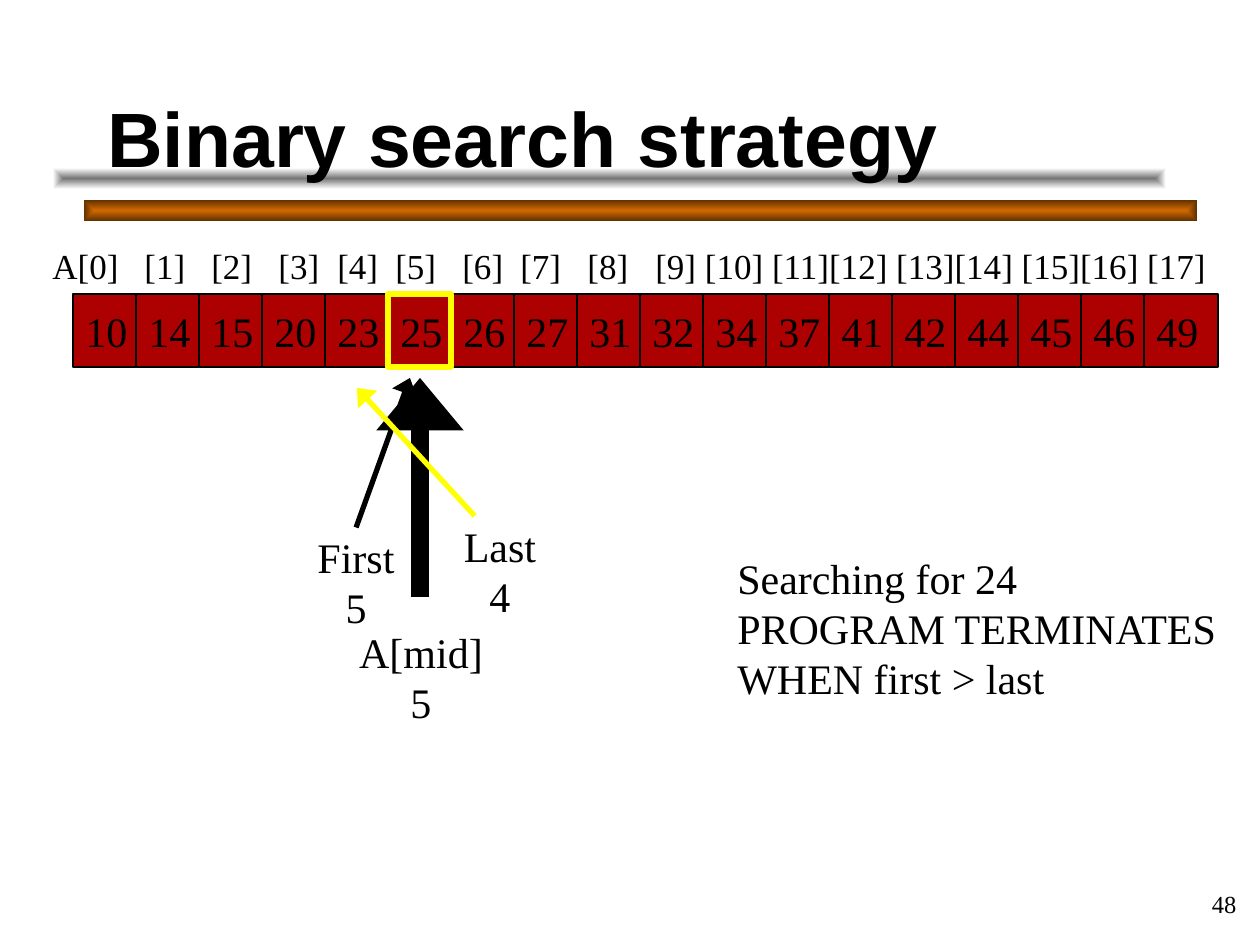
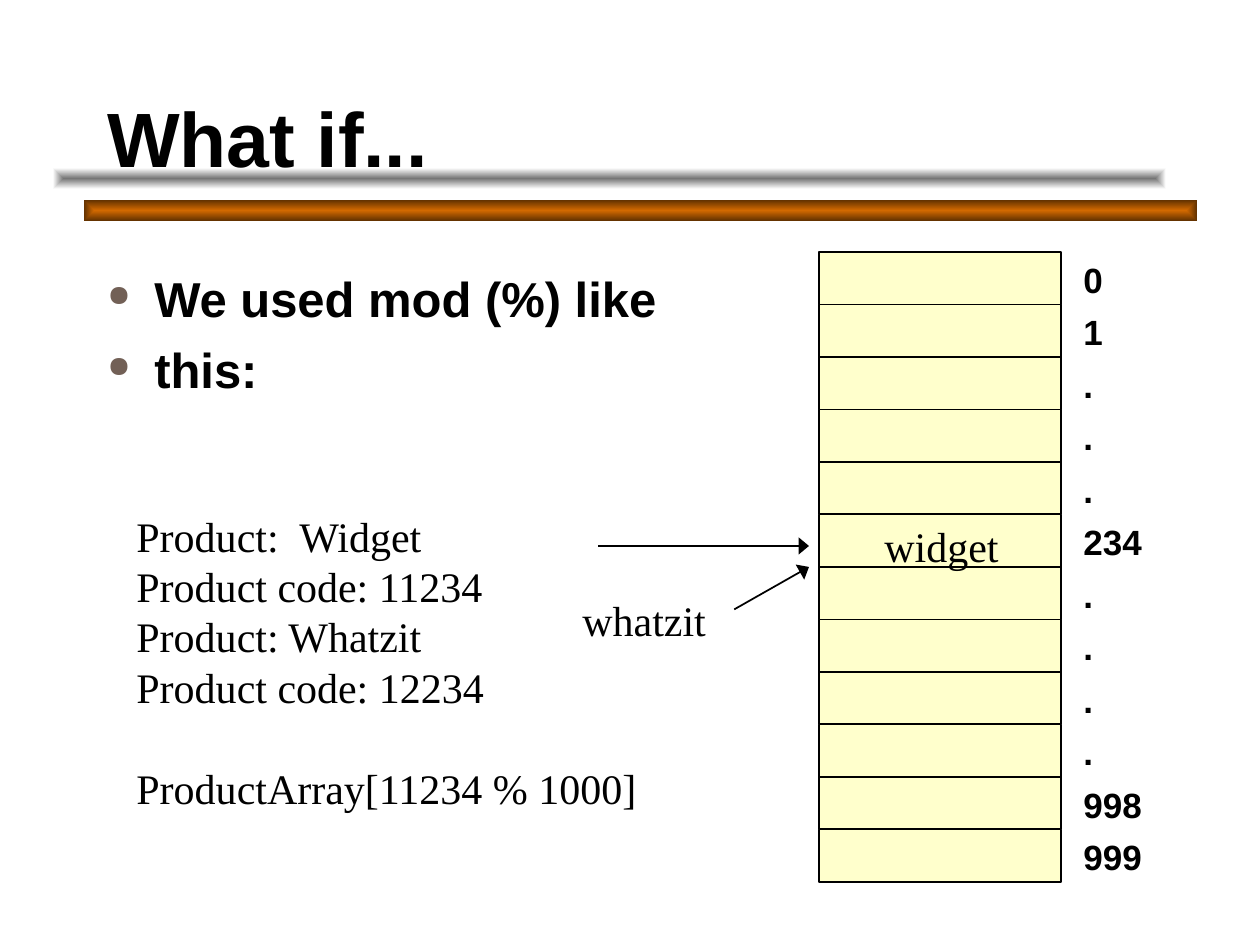
from dataclasses import dataclass

import pptx
import pptx.dml.color
import pptx.enum.shapes
import pptx.enum.text
import pptx.oxml
import pptx.oxml.ns
import pptx.util
from lxml import etree

EMU_PER_PIXEL = pptx.util.Inches(1) // 126
SERIF, SANS = "Times New Roman", "Arial"
BLACK, YELLOW, CELL_RED, CELL_CREAM = "000000", "FFFF00", "AD0101", "FFFFCC"
BULLET_BROWN = "726056"
ALIGN = pptx.enum.text.PP_ALIGN
ANCHOR = pptx.enum.text.MSO_ANCHOR


@dataclass(frozen=True)
class Box:
    left: float
    top: float
    width: float
    height: float

    def emu(self) -> list[int]:
        return [px(v) for v in (self.left, self.top, self.width, self.height)]


@dataclass(frozen=True)
class TextStyle:
    size: int = 24
    font: str = SERIF
    bold: bool = False
    align: ALIGN = ALIGN.LEFT
    anchor: ANCHOR = ANCHOR.TOP
    wrap: bool = False
    tabs: tuple[int, ...] = ()


@dataclass(frozen=True)
class Line:
    start: tuple[float, float]
    end: tuple[float, float]
    color: str = BLACK
    weight: float = 1
    arrow: bool = False


@dataclass(frozen=True)
class Label:
    box: Box
    lines: tuple[str, ...]
    style: TextStyle = TextStyle()


@dataclass(frozen=True)
class Band:
    box: Box
    center: str
    edge: str


TITLE = TextStyle(44, SANS, True, anchor=ANCHOR.BOTTOM, wrap=True)
BODY = TextStyle(28, SANS, True, wrap=True)
INDEX = TextStyle(20, SANS, True)
CENTERED = TextStyle(align=ALIGN.CENTER)
PAGE_NUMBER = TextStyle(14, align=ALIGN.RIGHT, anchor=ANCHOR.MIDDLE)
BANDS = (
    Band(Box(84, 200, 1113, 21), "D26900", "613100"),
    Band(Box(53, 168, 1113, 21), "767676", "FFFFFF"),
)


def px(pixels: float) -> int:
    return round(pixels * EMU_PER_PIXEL)


def rgb(color: str) -> pptx.dml.color.RGBColor:
    return pptx.dml.color.RGBColor.from_string(color)


def add_child(parent, tag: str, **attributes: str):
    child = etree.SubElement(parent, pptx.oxml.ns.qn(tag))
    for name, value in attributes.items():
        child.set(name, value)
    return child


def write_text(shape, lines: tuple[str, ...], style: TextStyle) -> None:
    frame = shape.text_frame
    frame.word_wrap = style.wrap
    frame.vertical_anchor = style.anchor
    frame.text = "\n".join(lines)
    for paragraph in frame.paragraphs:
        paragraph.alignment = style.align
        if style.tabs:
            tab_list = add_child(paragraph._p.get_or_add_pPr(), "a:tabLst")
            for position in style.tabs:
                add_child(tab_list, "a:tab", pos=str(px(position)), algn="l")
        font = paragraph.font
        font.name, font.size, font.bold = style.font, pptx.util.Pt(style.size), style.bold
        font.color.rgb = rgb(BLACK)


def add_label(slide, label: Label):
    shape = slide.shapes.add_textbox(*label.box.emu())
    write_text(shape, label.lines, label.style)
    return shape


def add_rectangle(slide, box: Box, fill: str | None = None,
                  line: str | None = None, weight: float = 1):
    shape = slide.shapes.add_shape(pptx.enum.shapes.MSO_SHAPE.RECTANGLE, *box.emu())
    shape.shadow.inherit = False
    if fill:
        shape.fill.solid()
        shape.fill.fore_color.rgb = rgb(fill)
    else:
        shape.fill.background()
    if line:
        shape.line.color.rgb = rgb(line)
        shape.line.width = pptx.util.Pt(weight)
    else:
        shape.line.fill.background()
    return shape


def add_line(slide, line: Line) -> None:
    connector = slide.shapes.add_connector(
        pptx.enum.shapes.MSO_CONNECTOR.STRAIGHT,
        *(px(v) for v in (*line.start, *line.end)))
    connector.line.color.rgb = rgb(line.color)
    connector.line.width = pptx.util.Pt(line.weight)
    if line.arrow:
        outline = connector.line._get_or_add_ln()
        outline.set("cap", "sq")
        add_child(outline, "a:tailEnd", type="triangle", w="lg", len="med")
    add_child(connector._element.spPr, "a:effectLst")


def add_band(slide, band: Band) -> None:
    properties = add_rectangle(slide, band.box)._element.spPr
    gradient = pptx.oxml.parse_xml(
        f'<a:gradFill {pptx.oxml.ns.nsdecls("a")} rotWithShape="0"><a:gsLst>'
        f'<a:gs pos="0"><a:srgbClr val="{band.center}"/></a:gs>'
        f'<a:gs pos="100000"><a:srgbClr val="{band.edge}"/></a:gs></a:gsLst>'
        '<a:path path="rect"><a:fillToRect l="50000" t="50000" r="50000" b="50000"/>'
        '</a:path></a:gradFill>')
    properties.replace(properties.find(pptx.oxml.ns.qn("a:noFill")), gradient)


def add_bullets(slide, box: Box, lines: tuple[str, ...]) -> None:
    shape = add_label(slide, Label(box, lines, BODY))
    for paragraph in shape.text_frame.paragraphs:
        paragraph.space_before = pptx.util.Pt(7)
        properties = paragraph._p.get_or_add_pPr()
        properties.set("marL", str(px(47)))
        properties.set("indent", str(px(-47)))
        defaults = properties.find(pptx.oxml.ns.qn("a:defRPr"))
        color = etree.Element(pptx.oxml.ns.qn("a:buClr"))
        add_child(color, "a:srgbClr", val=BULLET_BROWN)
        size = etree.Element(pptx.oxml.ns.qn("a:buSzPct"), val="60000")
        character = etree.Element(pptx.oxml.ns.qn("a:buChar"), char="●")
        for element in (color, size, character):
            defaults.addprevious(element)


def add_titled_slide(presentation, title: str):
    slide = presentation.slides.add_slide(presentation.slide_layouts[6])
    for band in BANDS:
        add_band(slide, band)
    add_label(slide, Label(Box(95, 32, 1071, 157), (title,), TITLE))
    return slide


def build_search_slide(presentation) -> None:
    slide = add_titled_slide(presentation, "Binary search strategy")

    # Sorted array: one bar, its values on tab stops, a divider per cell
    values = (10, 14, 15, 20, 23, 25, 26, 27, 31, 32, 34, 37, 41, 42, 44, 45, 46, 49)
    left, top, cell, height = 73, 294, 63, 73
    steps = tuple(cell * i for i in range(1, len(values)))
    bar = add_rectangle(slide, Box(left, top, 1145, height), CELL_RED, BLACK)
    write_text(bar, ("\t".join(map(str, values)),),
               TextStyle(anchor=ANCHOR.MIDDLE, wrap=True, tabs=steps))
    for step in steps:
        add_line(slide, Line((left + step, top), (left + step, top + height)))

    # Index labels above the array
    indexes = ("A[0]", *(f"[{i}]" for i in range(1, 9)),
               "[9] [10] [11][12] [13][14] [15][16] [17]")
    index_style = TextStyle(20, wrap=True, tabs=(92, 159, 226, 285, 343, 410, 468, 535, 603))
    add_label(slide, Label(Box(40, 238, 1200, 55), ("\t".join(indexes),), index_style))

    # Pointers to the middle, first and last positions
    for line in (
        Line((420, 588), (420, 378), weight=10, arrow=True),
        Line((357, 525), (410, 378), weight=3, arrow=True),
        Line((473, 514), (357, 388), YELLOW, 3, True),
    ):
        add_line(slide, line)
    for label in (
        Label(Box(345, 620, 152, 113), ("A[mid]", "5"), CENTERED),
        Label(Box(300, 525, 112, 113), ("First", "5"), CENTERED),
        Label(Box(444, 514, 112, 113), ("Last", "4"), CENTERED),
        Label(Box(725, 546, 516, 164),
              ("Searching for 24", "PROGRAM TERMINATES", "WHEN first > last")),
        Label(Box(987, 872, 262, 63), ("48",), PAGE_NUMBER),
    ):
        add_label(slide, label)

    # Frame around the middle cell
    add_rectangle(slide, Box(left + 5 * cell, top, cell, height), line=YELLOW, weight=3)


def build_hash_slide(presentation) -> None:
    slide = add_titled_slide(presentation, "What if...")
    add_bullets(slide, Box(95, 262, 1071, 567), ("We used mod (%) like", "this:"))

    # Product list, with the array expression set apart
    products = add_label(slide, Label(
        Box(124, 504, 535, 315),
        ("Product:\tWidget", "Product code: 11234", "Product: Whatzit",
         "Product code: 12234", "ProductArray[11234 % 1000]"),
        TextStyle(tabs=(163,))))
    products.text_frame.paragraphs[-1].space_before = pptx.util.Pt(28.8)

    # Hash table cells and their indexes
    indexes = ("0", "1", ".", ".", ".", "234", ".", ".", ".", ".", "998", "999")
    row_height = 630 / len(indexes)
    for row, index in enumerate(indexes):
        top = 252 + row * row_height
        add_rectangle(slide, Box(819, top, 242, row_height), CELL_CREAM, BLACK)
        add_label(slide, Label(Box(1071, top, 100, 55), (index,), INDEX))

    # Two products that land in the same cell
    add_line(slide, Line((599, 546), (809, 546), arrow=True))
    add_line(slide, Line((735, 609), (809, 567), arrow=True))
    add_label(slide, Label(Box(872, 514, 148, 63), ("widget",)))
    add_label(slide, Label(Box(570, 588, 156, 63), ("whatzit",)))


def main() -> None:
    presentation = pptx.Presentation()
    presentation.slide_width, presentation.slide_height = px(1260), px(945)
    build_search_slide(presentation)
    build_hash_slide(presentation)
    presentation.save("out.pptx")


main()
